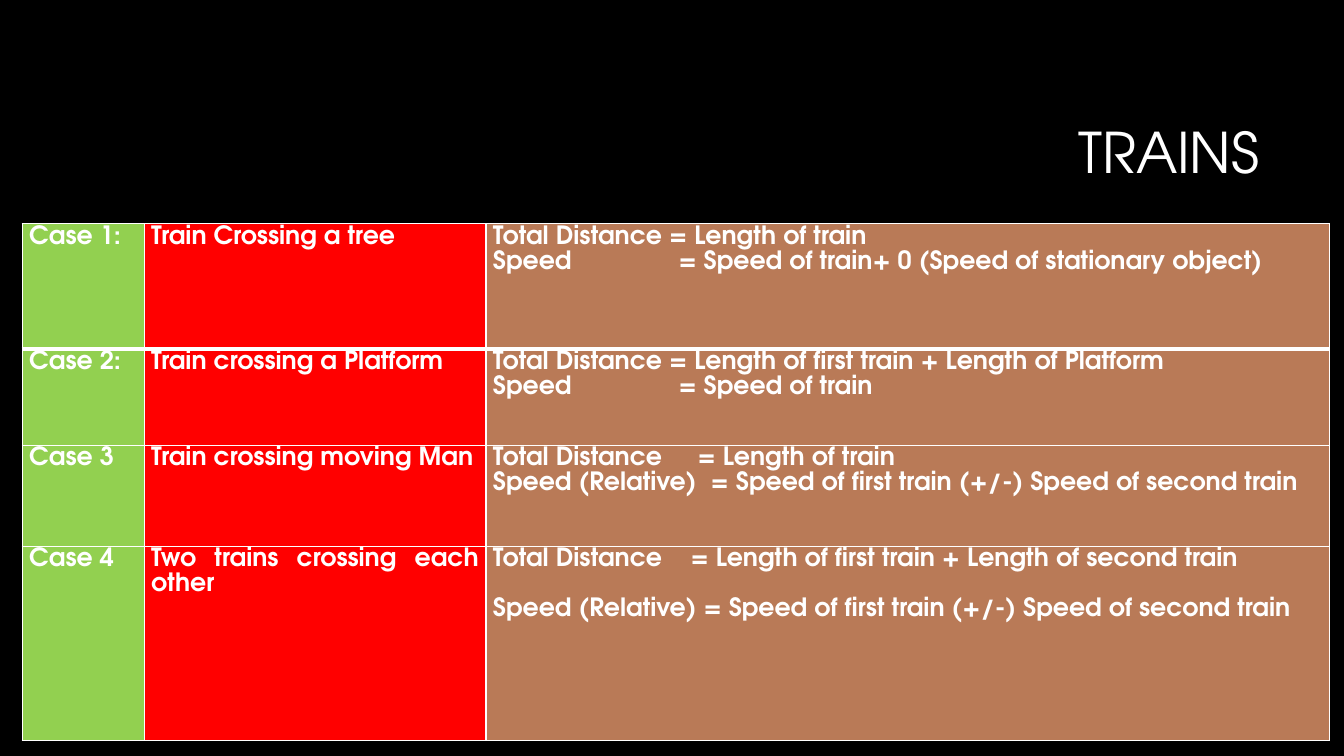
from lxml import etree
from pptx import Presentation
from pptx.dml.color import RGBColor
from pptx.enum import text
from pptx.oxml import ns
from pptx.util import Inches, Pt

FONT = "TeX Gyre Adventor"
COLOURS = {
    "background": "000000",
    "text": "FFFFFF",
    "border": "FFFFFF",
    "case": "92D050",
    "situation": "FF0000",
    "formula": "B97A57",
}
COLUMNS = {"case": 1.21, "situation": 3.39, "formula": 8.37}
ROW_HEIGHTS = [1.24, 0.96, 1, 1.93]

# Each formula line: its text, and the tab stop of its equals sign if it has one.
CASES = [
    ("Case 1:", "Train Crossing a tree", [
        ("Total Distance = Length of train", None),
        ("Speed\t= Speed of train+ 0 (Speed of stationary object)", 1.84)]),
    ("Case 2:", "Train crossing a Platform", [
        ("Total Distance = Length of first train + Length of Platform", None),
        ("Speed\t= Speed of train", 1.84)]),
    ("Case 3", "Train crossing moving Man", [
        ("Total Distance\t= Length of train", 2.03),
        ("Speed (Relative)\t= Speed of first train (+/-) Speed of second train", 2.16)]),
    ("Case 4", "Two trains crossing each other", [
        ("Total Distance\t= Length of first train + Length of second train", 1.96),
        ("Speed (Relative) = Speed of first train (+/-) Speed of second train", None)]),
]


def colour(name):
    return RGBColor.from_string(COLOURS[name])


def write(para, words, size=18, bold=False, align=text.PP_ALIGN.JUSTIFY,
          spacing=1.07, before=0, tab=None):
    if tab:
        tabs = etree.SubElement(para._p.get_or_add_pPr(), ns.qn("a:tabLst"))
        etree.SubElement(tabs, ns.qn("a:tab"), pos=str(Inches(tab)), algn="l")
    para.alignment = align
    para.line_spacing = spacing
    para.space_before = Pt(before)
    span = para.add_run()
    span.text = words
    span.font.name = FONT
    span.font.size = Pt(size)
    span.font.bold = bold
    span.font.color.rgb = colour("text")


def add_borders(cell, top=1, bottom=1):
    """Draw the four cell borders; call before the fill, which must follow them."""
    properties = cell._tc.get_or_add_tcPr()
    for side, width in {"L": 1, "R": 1, "T": top, "B": bottom}.items():
        line = etree.SubElement(properties, ns.qn(f"a:ln{side}"), w=str(Pt(width)))
        fill = etree.SubElement(line, ns.qn("a:solidFill"))
        etree.SubElement(fill, ns.qn("a:srgbClr"), val=COLOURS["border"])


def fill_cell(cell, lines, fill, gap=0, **borders):
    add_borders(cell, **borders)
    cell.fill.solid()
    cell.fill.fore_color.rgb = colour(fill)
    cell.margin_left = cell.margin_right = Inches(0.07)
    cell.margin_top = cell.margin_bottom = 0
    for index, (words, tab) in enumerate(lines):
        para = cell.text_frame.add_paragraph() if index else cell.text_frame.paragraphs[0]
        write(para, words, bold=True, tab=tab, before=gap if index else 0)


def add_title(page, words):
    title = page.shapes.title
    title.left, title.top = Inches(3.17), Inches(0.84)
    title.width, title.height = Inches(9.42), Inches(1.41)
    title.text_frame.vertical_anchor = text.MSO_ANCHOR.MIDDLE
    write(title.text_frame.paragraphs[0], words, size=40,
          align=text.PP_ALIGN.RIGHT, spacing=0.9)


def add_case_table(page):
    table = page.shapes.add_table(
        len(CASES), len(COLUMNS), Inches(0.22), Inches(2.22),
        Inches(sum(COLUMNS.values())), Inches(sum(ROW_HEIGHTS))).table
    table.first_row = table.horz_banding = False
    for column, width in zip(table.columns, COLUMNS.values()):
        column.width = Inches(width)
    for row, height in zip(table.rows, ROW_HEIGHTS):
        row.height = Inches(height)
    for index, (case, situation, formulas) in enumerate(CASES):
        contents = [[(case, None)], [(situation, None)], formulas]
        for number, (fill, lines) in enumerate(zip(COLUMNS, contents)):
            fill_cell(table.cell(index, number), lines, fill,
                      gap=18 if index == 3 else 0,
                      top=3 if index == 1 else 1,
                      bottom=3 if index == 0 else 1)


def main():
    deck = Presentation()
    deck.slide_width, deck.slide_height = Inches(13.33), Inches(7.5)
    page = deck.slides.add_slide(deck.slide_layouts[5])
    page.background.fill.solid()
    page.background.fill.fore_color.rgb = colour("background")
    add_title(page, "TRAINS")
    add_case_table(page)
    deck.save("out.pptx")


if __name__ == "__main__":
    main()
